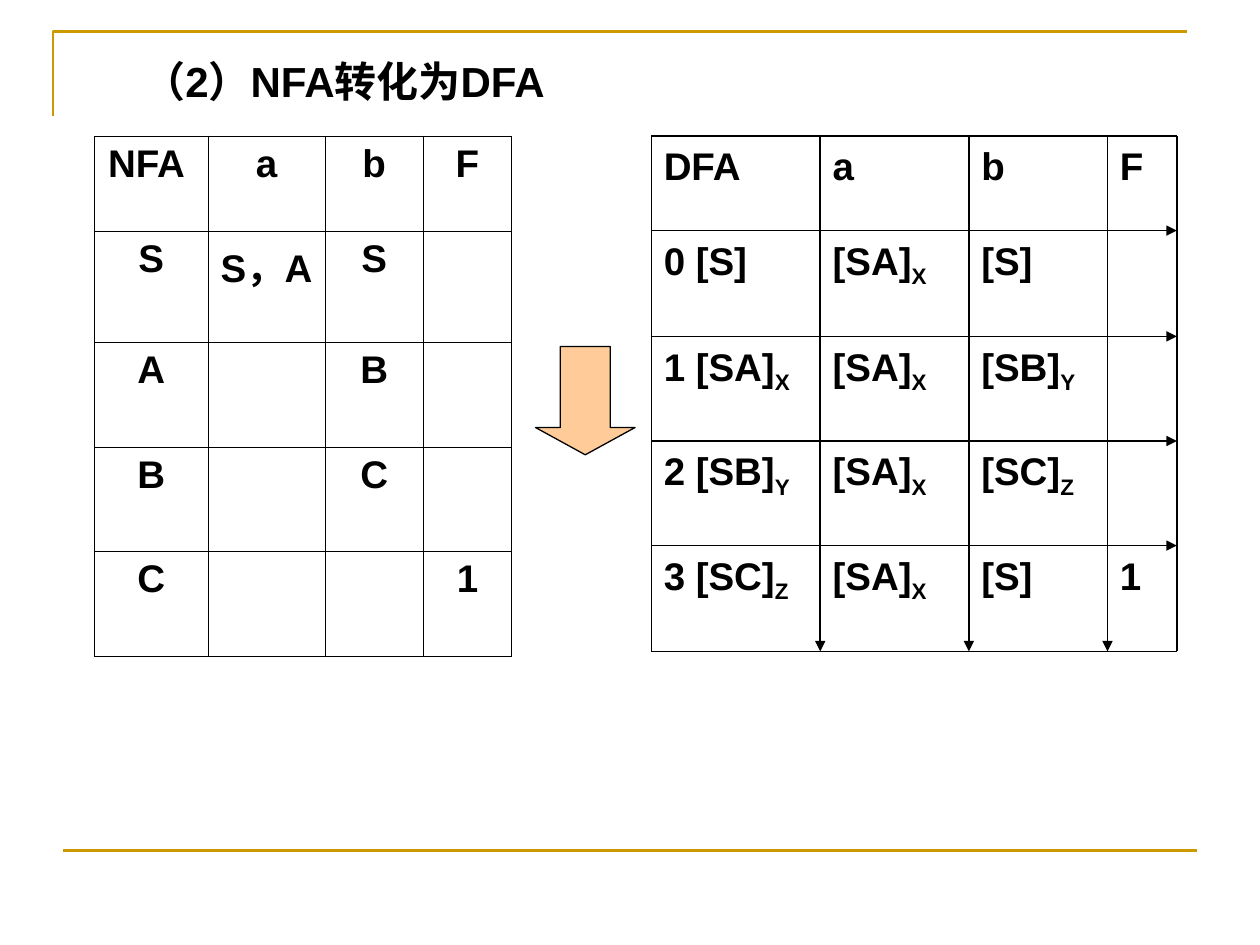
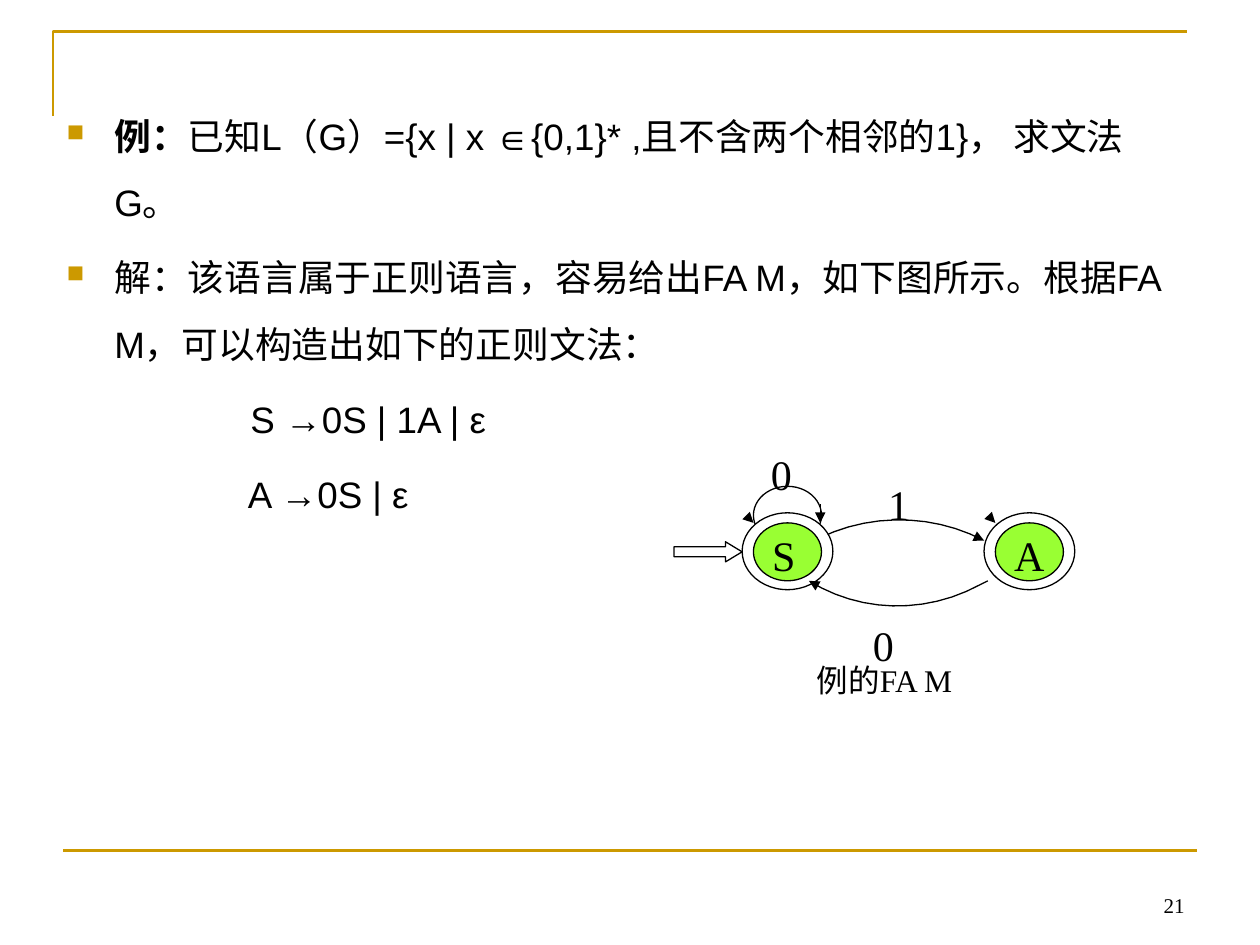
from lxml import etree
from pptx import Presentation
from pptx import util as u
from pptx.dml.color import RGBColor
from pptx.enum import shapes, text
from pptx.oxml.ns import qn

COLORS = {"gold": "CC9900", "ink": "000000", "peach": "FFCC99", "green": "99FF33", "white": "FFFFFF"}
SANS, SERIF = "Arial", "Times New Roman"
CENTER, LEFT, RIGHT = text.PP_ALIGN.CENTER, text.PP_ALIGN.LEFT, text.PP_ALIGN.RIGHT

TITLE = "（2）NFA转化为DFA"
NFA_ROWS = [
    ["NFA ", "a", "b", "F"],
    ["S", "S，A", "S", ""],
    ["A", "", "B", ""],
    ["B", "", "C", ""],
    ["C", "", "", "1"],
]
NFA_COLS = [0.9, 0.93, 0.78, 0.7]
NFA_HEIGHTS = [0.76, 0.88, 0.83, 0.83, 0.83]
DFA_ROWS = [
    ["DFA", "a", "b", "F"],
    ["0 [S]", "[SA]_X", "[S]", ""],
    ["1 [SA]_X", "[SA]_X", "[SB]_Y", ""],
    ["2 [SB]_Y", "[SA]_X", "[SC]_Z", ""],
    ["3 [SC]_Z", "[SA]_X", "[S]", "1"],
]
DFA_X = [5.17, 6.51, 7.69, 8.79, 9.34]
DFA_Y = [1.08, 1.83, 2.67, 3.5, 4.33, 5.17]

BULLETS = [
    [("例：", True), ("已知L（G）={x | x ∈{0,1}* ,且不含两个相邻的1}， 求文法G。", False)],
    [("解：该语言属于正则语言，容易给出FA M，如下图所示。根据FA M，可以构造出如下的正则文法：", False)],
]
RULES = [("S →0S | 1A | ε", 1.46), ("A →0S | ε", 1.44)]
STATES = [("S", 5.89), ("A", 7.81)]
EDGE_LABELS = [("1", 6.95, 3.75), ("0", 6.83, 4.87), ("0", 6.02, 3.51)]
ARC_TO_A = [(6.19, 4.48), (6.26, 4.42), (6.32, 4.37), (6.39, 4.33), (6.83, 4.07), (7.37, 4.06), (7.81, 4.29)]
ARC_TO_S = [(7.84, 4.61), (7.82, 4.62), (7.8, 4.63), (7.78, 4.64), (7.34, 4.88), (6.82, 4.86), (6.42, 4.61)]


def rgb(name):
    return RGBColor.from_string(COLORS[name])


def add_run(p, words, size, font, bold=False, subscript=False):
    r = p.add_run()
    r.text = words
    r.font.size, r.font.name, r.font.bold = u.Pt(size), font, bold
    r.font.color.rgb = rgb("ink")
    if subscript:
        r._r.get_or_add_rPr().set("baseline", "-25000")


def add_box(s, x, y, w, h):
    tf = s.shapes.add_textbox(*map(u.Inches, (x, y, w, h))).text_frame
    tf.word_wrap = True
    return tf


def add_label(s, words, x, y, w, h, size, font=SERIF, bold=False, align=LEFT):
    tf = add_box(s, x, y, w, h)
    p = tf.paragraphs[0]
    p.alignment = align
    base, _, sub = words.partition("_")
    add_run(p, base, size, font, bold)
    if sub:
        add_run(p, sub, size, font, bold, subscript=True)
    return tf


def style_line(sp, color, width, arrow=False):
    sp.line.color.rgb = rgb(color)
    sp.line.width = u.Pt(width)
    if arrow:
        etree.SubElement(sp.line._get_or_add_ln(), qn("a:tailEnd"), type="triangle")


def add_line(s, x1, y1, x2, y2, color="ink", width=1, arrow=False):
    sp = s.shapes.add_connector(shapes.MSO_CONNECTOR.STRAIGHT, *map(u.Inches, (x1, y1, x2, y2)))
    style_line(sp, color, width, arrow)
    etree.SubElement(sp._element.spPr, qn("a:effectLst"))


def add_path(s, points, color="ink", width=0.75, arrow=False):
    start, *rest = [(u.Inches(x), u.Inches(y)) for x, y in points]
    builder = s.shapes.build_freeform(*start)
    builder.add_line_segments(rest, close=False)
    sp = builder.convert_to_shape()
    sp.shadow.inherit = False
    sp.fill.background()
    style_line(sp, color, width, arrow)


def add_figure(s, kind, x, y, w, h, fill, adjust=()):
    sp = s.shapes.add_shape(kind, *map(u.Inches, (x, y, w, h)))
    sp.shadow.inherit = False
    sp.fill.solid()
    sp.fill.fore_color.rgb = rgb(fill)
    style_line(sp, "ink", 0.75)
    for i, value in enumerate(adjust):
        sp.adjustments[i] = value


def bezier(points, steps=12):
    curve = [points[0]]
    for i in range(0, len(points) - 1, 3):
        quad = points[i:i + 4]
        for n in range(1, steps + 1):
            t = n / steps
            weights = ((1 - t) ** 3, 3 * t * (1 - t) ** 2, 3 * t * t * (1 - t), t ** 3)
            curve.append(tuple(sum(k * pt[axis] for k, pt in zip(weights, quad)) for axis in (0, 1)))
    return curve


def new_slide(prs):
    s = prs.slides.add_slide(prs.slide_layouts[6])
    add_path(s, [(0.42, 0.92), (0.42, 0.25), (9.42, 0.25)], "gold", 1.5)
    add_line(s, 0.5, 6.75, 9.5, 6.75, "gold", 1.5)
    return s


def border_cell(cell):
    tcPr = cell._tc.get_or_add_tcPr()
    for i, side in enumerate(("lnL", "lnR", "lnT", "lnB")):
        ln = etree.Element(qn("a:" + side), w=str(u.Pt(0.45)))
        fill = etree.SubElement(ln, qn("a:solidFill"))
        etree.SubElement(fill, qn("a:srgbClr"), val=COLORS["ink"])
        tcPr.insert(i, ln)


def add_nfa_table(s):
    area = (0.75, 1.08, sum(NFA_COLS), sum(NFA_HEIGHTS))
    table = s.shapes.add_table(len(NFA_ROWS), len(NFA_COLS), *map(u.Inches, area)).table
    table.first_row = table.horz_banding = False
    for col, width in zip(table.columns, NFA_COLS):
        col.width = u.Inches(width)
    for row, height, words in zip(table.rows, NFA_HEIGHTS, NFA_ROWS):
        row.height = u.Inches(height)
        for cell, word in zip(row.cells, words):
            cell.fill.background()
            border_cell(cell)
            p = cell.text_frame.paragraphs[0]
            p.alignment = CENTER
            if word:
                add_run(p, word, 22, SANS, True)


def add_dfa_grid(s):
    left, right, top, bottom = DFA_X[0], DFA_X[-1], DFA_Y[0], DFA_Y[-1]
    for y, y2, words in zip(DFA_Y, DFA_Y[1:], DFA_ROWS):
        for x, x2, word in zip(DFA_X, DFA_X[1:], words):
            if word:
                add_label(s, word, x, y, x2 - x, y2 - y, 22, SANS, True)
    for x in DFA_X:
        add_line(s, x, top, x, bottom, arrow=left < x < right)
    for y in DFA_Y:
        add_line(s, left, y, right, y, arrow=top < y < bottom)


def build_conversion(prs):
    s = new_slide(prs)
    add_dfa_grid(s)
    add_figure(s, shapes.MSO_SHAPE.DOWN_ARROW, 4.25, 2.75, 0.79, 0.86, "peach", (0.5, 0.274))
    add_nfa_table(s)
    add_label(s, TITLE, 0.7, 0.39, 4.06, 0.5, 24, SANS, True, CENTER)


def add_paragraph(tf, runs, left, hanging=0, bullet=False):
    p = tf.paragraphs[0] if not tf.paragraphs[0].runs else tf.add_paragraph()
    p.line_spacing, p.space_before = 1.5, u.Pt(5.2)
    pPr = p._p.get_or_add_pPr()
    pPr.set("marL", str(u.Inches(left)))
    pPr.set("indent", str(-u.Inches(hanging)))
    if bullet:
        color = etree.SubElement(pPr, qn("a:buClr"))
        etree.SubElement(color, qn("a:srgbClr"), val=COLORS["gold"])
        etree.SubElement(pPr, qn("a:buSzPct"), val="65000")
        etree.SubElement(pPr, qn("a:buChar"), char="■")
    for words, bold in runs:
        add_run(p, words, 21, SANS, bold)


def add_automaton(s):
    oval = shapes.MSO_SHAPE.OVAL
    add_label(s, "例的FA M", 5.21, 5.2, 3.62, 0.46, 18, align=CENTER)
    add_figure(s, shapes.MSO_SHAPE.RIGHT_ARROW, 5.35, 4.3, 0.54, 0.16, "white", (0.5, 0.823))
    add_path(s, bezier(ARC_TO_A), arrow=True)
    add_figure(s, oval, 5.98, 3.86, 0.54, 0.46, "white")
    for name, x in STATES:
        add_figure(s, oval, x, 4.07, 0.72, 0.61, "white")
        add_figure(s, oval, x + 0.09, 4.15, 0.54, 0.46, "green")
        add_label(s, name, x + 0.14, 4.15, 0.54, 0.46, 24)
        add_line(s, x + 0.08, 4.14, x + 0.09, 4.15, width=0.75, arrow=True)
    add_line(s, 6.51, 4, 6.51, 4.15, width=0.75, arrow=True)
    add_path(s, bezier(ARC_TO_S), arrow=True)
    for symbol, x, y in EDGE_LABELS:
        add_label(s, symbol, x, y, 0.54, 0.46, 24)


def build_example(prs):
    s = new_slide(prs)
    number = add_label(s, "21", 7.17, 6.83, 2.33, 0.5, 12, align=RIGHT)
    number.vertical_anchor = text.MSO_ANCHOR.BOTTOM
    tf = add_box(s, 0.43, 0.68, 9, 4.1)
    for runs in BULLETS:
        add_paragraph(tf, runs, 0.38, 0.38, bullet=True)
    for rule, left in RULES:
        add_paragraph(tf, [(rule, False)], left)
    add_automaton(s)


def main():
    prs = Presentation()
    prs.slide_width, prs.slide_height = u.Inches(10), u.Inches(7.5)
    build_conversion(prs)
    build_example(prs)
    prs.save("out.pptx")


if __name__ == "__main__":
    main()
